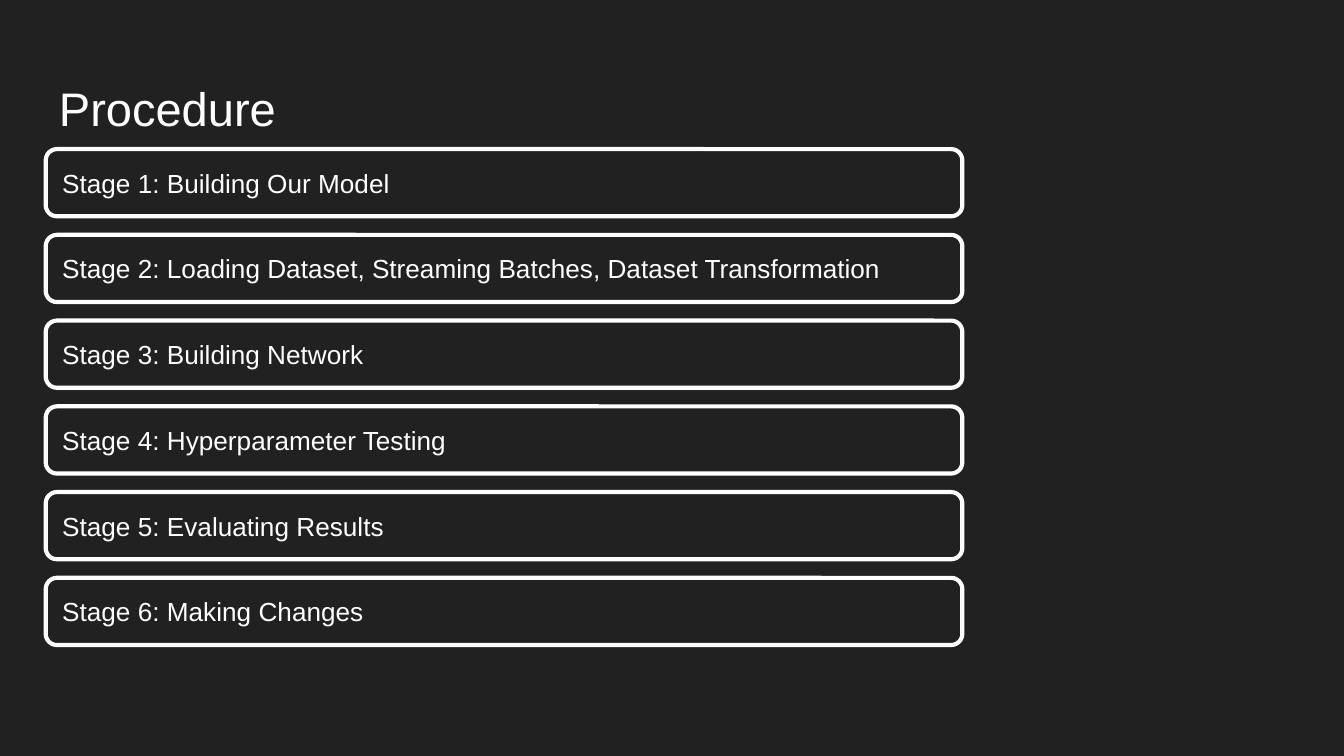
from dataclasses import dataclass

from pptx import Presentation
from pptx import util as u
from pptx.dml.color import RGBColor
from pptx.enum import shapes, text

BACKGROUND = RGBColor(0x21, 0x21, 0x21)
WHITE = RGBColor(0xFF, 0xFF, 0xFF)

SLIDE_WIDTH = u.Inches(10)
SLIDE_HEIGHT = SLIDE_WIDTH * 9 // 16
LEFT = 0.34
FIRST_TOP, LAST_TOP = 1.11, 4.3


@dataclass(frozen=True)
class Stage:
    number: int
    task: str


STAGES = [
    Stage(number, task)
    for number, task in enumerate(
        (
            "Building Our Model",
            "Loading Dataset, Streaming Batches, Dataset Transformation",
            "Building Network",
            "Hyperparameter Testing",
            "Evaluating Results",
            "Making Changes",
        ),
        start=1,
    )
]
STAGE_PITCH = (LAST_TOP - FIRST_TOP) / (len(STAGES) - 1)


def write(shape, words: str, *, size: float, anchor: text.MSO_ANCHOR) -> None:
    """Fill a shape with one left-aligned paragraph."""
    frame = shape.text_frame
    frame.word_wrap = True
    frame.vertical_anchor = anchor
    frame.margin_left = frame.margin_right = u.Inches(0.1)
    frame.margin_top = frame.margin_bottom = u.Inches(0.1)
    paragraph = frame.paragraphs[0]
    paragraph.alignment = text.PP_ALIGN.LEFT
    run = paragraph.add_run()
    run.text = words
    run.font.name = "Arial"
    run.font.size = u.Pt(size)
    run.font.color.rgb = WHITE


def draw_stage(slide, stage: Stage) -> None:
    """Draw one outlined bar at the row given by the stage number."""
    top = FIRST_TOP + (stage.number - 1) * STAGE_PITCH
    bar = slide.shapes.add_shape(
        shapes.MSO_SHAPE.ROUNDED_RECTANGLE,
        u.Inches(LEFT), u.Inches(top), u.Inches(6.82), u.Inches(0.5),
    )
    bar.shadow.inherit = False
    bar.fill.background()
    bar.line.color.rgb = WHITE
    bar.line.width = u.Pt(2.25)
    write(bar, f"Stage {stage.number}: {stage.task}",
          size=14, anchor=text.MSO_ANCHOR.MIDDLE)


def main() -> None:
    deck = Presentation()
    deck.slide_width, deck.slide_height = SLIDE_WIDTH, SLIDE_HEIGHT
    slide = deck.slides.add_slide(deck.slide_layouts[6])
    slide.background.fill.solid()
    slide.background.fill.fore_color.rgb = BACKGROUND

    # Title
    title = slide.shapes.add_textbox(
        u.Inches(LEFT), u.Inches(0.49), u.Inches(9.32), u.Inches(0.63))
    write(title, "Procedure", size=25.2, anchor=text.MSO_ANCHOR.TOP)

    # Stages of the procedure
    for stage in STAGES:
        draw_stage(slide, stage)

    deck.save("out.pptx")


if __name__ == "__main__":
    main()
